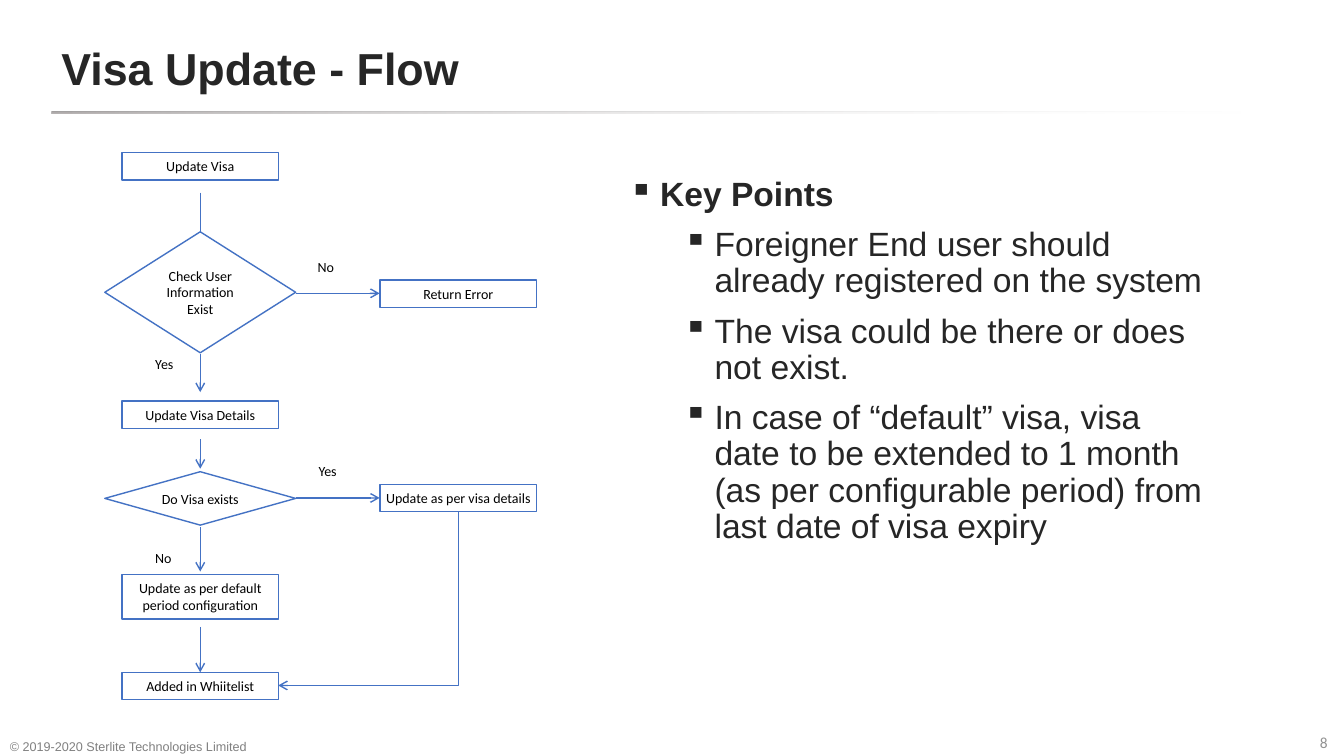
from lxml.etree import SubElement
from pptx import Presentation
from pptx.dml.color import RGBColor
from pptx.enum.shapes import MSO_CONNECTOR as Connector, MSO_SHAPE as Shape
from pptx.enum.text import MSO_ANCHOR as Anchor, PP_ALIGN as Align
from pptx.oxml.ns import qn
from pptx.util import Inches, Pt

COLUMNS, ROWS = 40, 30


def colour(hex_text):
    return RGBColor.from_string(hex_text)


class FlowPage:
    """Style and drawing methods; lengths are grid columns and rows."""

    blue, white, black, dark = "4472C4", "FFFFFF", "000000", "262626"
    heading_font, flow_font = "Arial", "Calibri"
    box_width, box_height = 4.65, 1.09

    def __init__(self, deck):
        self.page = deck.slides.add_slide(deck.slide_layouts[6])
        self.column = deck.slide_width / COLUMNS
        self.row = deck.slide_height / ROWS

    def place(self, *lengths):
        units = (self.column, self.row) * 2
        return [round(length * unit) for length, unit in zip(lengths, units)]

    def style(self, para, font, size, hex_text, bold=False):
        for span in para.runs:
            span.font.name, span.font.size = font, Pt(size)
            span.font.bold = bold
            span.font.color.rgb = colour(hex_text)

    def outline(self, item, arrow=True):
        item.line.color.rgb = colour(self.blue)
        item.line.width = Pt(1)
        if arrow:
            SubElement(item.line._get_or_add_ln(), qn("a:tailEnd"), type="arrow")

    def text(self, words, area, font, size, hex_text, bold=False,
             anchor=Anchor.TOP, inset=None, wrap=True):
        box = self.page.shapes.add_textbox(*self.place(*area))
        frame = box.text_frame
        frame.text = words
        frame.word_wrap, frame.vertical_anchor = wrap, anchor
        if inset is not None:
            self.inset(frame, inset)
        self.style(frame.paragraphs[0], font, size, hex_text, bold)

    def inset(self, frame, inches):
        frame.margin_left = frame.margin_right = Inches(inches)
        frame.margin_top = frame.margin_bottom = Inches(inches)

    def label(self, words, left, top):
        self.text(words, (left, top, 0.85, 1.08), self.flow_font, 10,
                  self.black, inset=0.05, wrap=False)

    def step(self, words, centre, top, kind=Shape.RECTANGLE,
             width=box_width, height=box_height):
        area = self.place(centre - width / 2, top, width, height)
        node = self.page.shapes.add_shape(kind, *area)
        node.shadow.inherit = False
        node.fill.solid()
        node.fill.fore_color.rgb = colour(self.white)
        self.outline(node, arrow=False)
        frame = node.text_frame
        frame.text = words
        frame.word_wrap, frame.vertical_anchor = True, Anchor.MIDDLE
        self.inset(frame, 0.05)
        para = frame.paragraphs[0]
        para.alignment = Align.CENTER
        self.style(para, self.flow_font, 10, self.black)

    def arrow(self, *ends):
        link = self.page.shapes.add_connector(Connector.STRAIGHT, *self.place(*ends))
        self.outline(link)
        SubElement(link._element.spPr, qn("a:effectLst"))

    def bent_arrow(self, *points):
        start, *corners = [self.place(*point) for point in points]
        builder = self.page.shapes.build_freeform(*start)
        builder.add_line_segments(corners, close=False)
        path_shape = builder.convert_to_shape()
        path_shape.shadow.inherit = False
        path_shape.fill.background()
        self.outline(path_shape)

    def fading_rule(self, *area):
        rule = self.page.shapes.add_shape(Shape.ROUNDED_RECTANGLE, *self.place(*area))
        rule.adjustments[0] = 0.5
        rule.shadow.inherit = False
        rule.line.fill.background()
        rule.fill.gradient()
        rule.fill.gradient_angle = 0
        for stop, hex_text, position in zip(
                rule.fill.gradient_stops, ("AFABAB", self.white), (0, 0.96)):
            stop.color.rgb = colour(hex_text)
            stop.position = position
        last_colour = rule._element.xpath(".//a:gradFill//a:srgbClr")[-1]
        SubElement(last_colour, qn("a:alpha"), val="0")

    def bullets(self, heading, points, area):
        box = self.page.shapes.add_textbox(*self.place(*area))
        frame = box.text_frame
        frame.word_wrap = True
        for index, words in enumerate([heading, *points]):
            para = frame.add_paragraph() if index else frame.paragraphs[0]
            para.text = words
            para.level = min(index, 1)
            para.line_spacing = 0.9
            para.space_before = Pt(10 if index else 0)
            props = para._p.get_or_add_pPr()
            props.set("marL", str(Inches(0.85 if index else 0.31)))
            props.set("indent", str(-Inches(0.31)))
            SubElement(props, qn("a:buChar"), char="▪")
            self.style(para, self.heading_font, 24, self.dark, bold=not index)


def main():
    deck = Presentation()
    deck.slide_width, deck.slide_height = Inches(13.33), Inches(7.5)
    flow = FlowPage(deck)

    # Title, rule and footer
    flow.fading_rule(1.53, 4.44, 36.94, 0.08)
    flow.text("Visa Update - Flow", (1.53, 0.92, 29.77, 3.52), flow.heading_font,
              32, flow.dark, bold=True, anchor=Anchor.MIDDLE)
    flow.text("8", (39.13, 28.88, 0.81, 1), flow.flow_font, 11, "929292",
              inset=0.05, wrap=False)
    flow.text("© 2019-2020 Sterlite Technologies Limited", (0, 28.88, 9.09, 1.24),
              flow.heading_font, 9, "808080", anchor=Anchor.BOTTOM)

    # Flow steps, on a main axis and a side axis
    main_axis, side_axis = 5.96, 13.64
    flow.arrow(main_axis, 7.64, main_axis, 9.88)
    for words, top, height in (("Check User Information Exist", 9.2, 4.8),
                               ("Do Visa exists", 18.72, 2.12)):
        flow.step(words, main_axis, top, Shape.DIAMOND, 5.68, height)
    for words, axis, top in (("Update Visa", main_axis, 6.06),
                             ("Update Visa Details", main_axis, 15.92),
                             ("Added in Whiitelist", main_axis, 26.68),
                             ("Return Error", side_axis, 11.12),
                             ("Update as per visa details", side_axis, 19.22)):
        flow.step(words, axis, top)
    flow.step("Update as per default period configuration", main_axis, 22.8,
              height=1.76)

    # Arrows
    for start, end in ((14.04, 15.56), (17.44, 18.6), (20.92, 22.68), (24.88, 26.68)):
        flow.arrow(main_axis, start, main_axis, end)
    for level in (11.64, 19.76):
        flow.arrow(8.8, level, 11.3, level)
    flow.bent_arrow((side_axis, 20.31), (side_axis, 27.2), (8.28, 27.2))

    # Branch labels
    for words, left, top in (("No", 9.3, 10.08), ("Yes", 4.47, 13.92),
                             ("Yes", 9.33, 18.16), ("No", 4.47, 21.6)):
        flow.label(words, left, top)

    # Key points
    flow.bullets("Key Points", (
        "Foreigner End user should already registered on the system",
        "The visa could be there or does not exist.",
        "In case of “default” visa, visa date to be extended to 1 month "
        "(as per configurable period) from last date of visa expiry",
    ), (18.42, 6.84, 17.85, 19.84))

    deck.save("out.pptx")


if __name__ == "__main__":
    main()
